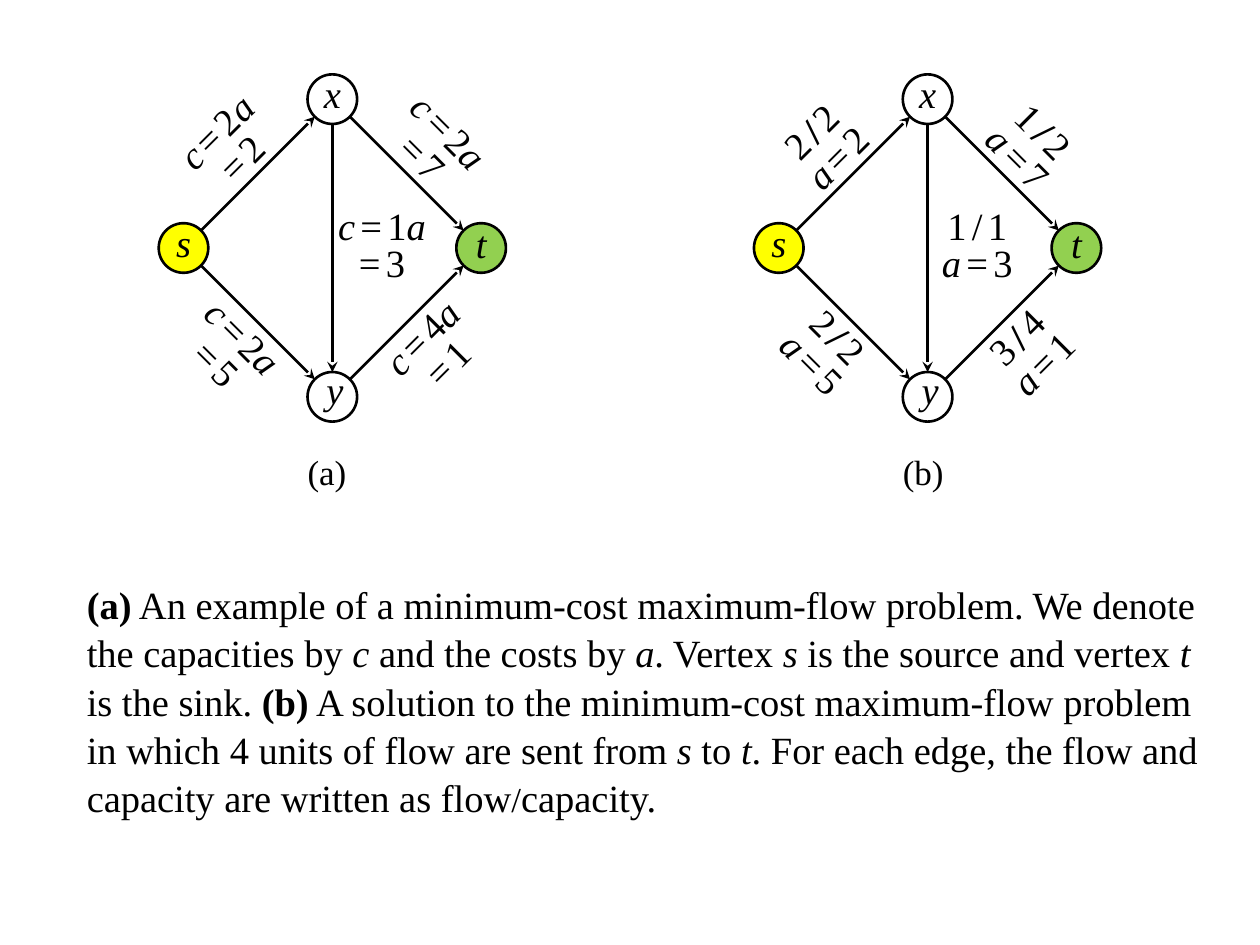
from math import hypot

from lxml import etree
from pptx import Presentation
from pptx.dml.color import RGBColor
from pptx.enum.shapes import MSO_CONNECTOR, MSO_SHAPE
from pptx.enum.text import MSO_ANCHOR, PP_ALIGN
from pptx.oxml.ns import qn
from pptx.util import Cm, Pt

ELLIPSE, STRAIGHT = MSO_SHAPE.OVAL, MSO_CONNECTOR.STRAIGHT
TOP, MIDDLE, BOTTOM = MSO_ANCHOR.TOP, MSO_ANCHOR.MIDDLE, MSO_ANCHOR.BOTTOM
CENTER = PP_ALIGN.CENTER
FONT, BLACK, SIZE = "Times New Roman", "000000", 22

VERTICES = {
    "s": dict(place=(-3, 0), fill="FFFF00"),
    "x": dict(place=(0, -3), fill="FFFFFF"),
    "y": dict(place=(0, 3), fill="FFFFFF", insets=(0.1, 0, 0, 0.05)),
    "t": dict(place=(3, 0), fill="92D050", anchor=MIDDLE, insets=(0, 0, 0, 0.2)),
}
EDGES = ["sx", "xy", "xt", "sy", "yt"]
LABEL_PLACES = {
    "sx": dict(place=(-2, -2), rotation=315, anchor=MIDDLE),
    "xy": dict(place=(1, 0), rotation=0, anchor=MIDDLE),
    "xt": dict(place=(2, -2), rotation=45, anchor=MIDDLE),
    "sy": dict(place=(-2, 2), rotation=45, anchor=BOTTOM),
    "yt": dict(place=(2, 2), rotation=315, anchor=BOTTOM),
}
GRAPHS = [
    dict(name="(a)", center=(6.7, 5), labels={
        "sx": ("c=2a", "=2"), "xy": ("c=1a", "=3"), "xt": ("c=2a", "=7"),
        "sy": ("c=2a", "=5"), "yt": ("c=4a", "=1")}),
    dict(name="(b)", center=(18.7, 5), labels={
        "sx": ("2/2", "a=2"), "xy": ("1/1", "a=3"), "xt": ("1/2", "a=7"),
        "sy": ("2/2", "a=5"), "yt": ("3/4", "a=1")}),
]
CAPTION = [
    ("(a)", dict(bold=True)),
    (" An example of a minimum-cost maximum-flow problem. We denote the capacities by ", {}),
    ("c", dict(italic=True)),
    (" and the costs by ", {}),
    ("a", dict(italic=True)),
    (". Vertex ", {}),
    ("s", dict(italic=True)),
    (" is the source and vertex ", {}),
    ("t", dict(italic=True)),
    (" is the sink. ", {}),
    ("(b)", dict(bold=True)),
    (" A solution to the minimum-cost maximum-flow problem in which 4 units of flow are sent from ", {}),
    ("s", dict(italic=True)),
    (" to ", {}),
    ("t", dict(italic=True)),
    (". For each edge, the flow and capacity are written as flow", {}),
    ("/", dict(size=20)),
    ("capacity.", {}),
]
DIAMETER, LABEL_SIDE = 1, 2


def color(value):
    return RGBColor.from_string(value)


def add_span(para, text, size=SIZE, bold=False, italic=False, tracking=0):
    span = para.add_run()
    span.text = text
    font = span.font
    font.name, font.size, font.bold, font.italic = FONT, Pt(size), bold, italic
    font.color.rgb = color(BLACK)
    if tracking:
        span._r.get_or_add_rPr().set("spc", str(tracking * 100))


def write(shape, lines, anchor=MIDDLE, insets=(0, 0, 0, 0), align=None,
          spacing=None, wrap=True):
    frame = shape.text_frame
    frame.word_wrap, frame.vertical_anchor = wrap, anchor
    frame.margin_left, frame.margin_top, frame.margin_right, frame.margin_bottom = map(Cm, insets)
    for number, spans in enumerate(lines):
        para = frame.add_paragraph() if number else frame.paragraphs[0]
        para.alignment, para.line_spacing = align, spacing
        for text, style in spans:
            add_span(para, text, **style)


def square(center, side):
    return [Cm(value) for value in (center[0] - side / 2, center[1] - side / 2, side, side)]


def shift(center, place):
    return center[0] + place[0], center[1] + place[1]


def add_vertex(page, center, name, place, fill, anchor=BOTTOM, insets=(0, 0, 0, 0)):
    vertex = page.shapes.add_shape(ELLIPSE, *square(shift(center, place), DIAMETER))
    vertex.shadow.inherit = False
    vertex.fill.solid()
    vertex.fill.fore_color.rgb = color(fill)
    vertex.line.color.rgb = color(BLACK)
    vertex.line.width = Pt(1.5)
    write(vertex, [[(name, dict(italic=True))]], anchor, insets, CENTER)


def add_edge(page, center, start, end):
    x1, y1 = shift(center, VERTICES[start]["place"])
    x2, y2 = shift(center, VERTICES[end]["place"])
    reach = DIAMETER / 2 / hypot(x2 - x1, y2 - y1)
    dx, dy = (x2 - x1) * reach, (y2 - y1) * reach
    edge = page.shapes.add_connector(
        STRAIGHT, Cm(x1 + dx), Cm(y1 + dy), Cm(x2 - dx), Cm(y2 - dy))
    edge.line.color.rgb = color(BLACK)
    edge.line.width = Pt(1.5)
    etree.SubElement(edge.line._get_or_add_ln(), qn("a:tailEnd"), type="stealth")
    etree.SubElement(edge._element.spPr, qn("a:effectLst"))


def label_spans(line, rotated):
    return [(mark, dict(italic=mark.isalpha(), bold=rotated and mark == "/",
                        tracking=0 if mark.isdigit() and following != "/" else 3))
            for mark, following in zip(line, line[1:] + " ")]


def add_label(page, center, lines, place, rotation, anchor):
    box = page.shapes.add_textbox(*square(shift(center, place), LABEL_SIDE))
    box.rotation = rotation
    write(box, [label_spans(line, bool(rotation)) for line in lines], anchor,
          (0, 0, 0, 0.1 if rotation else 0), CENTER, 0.8)


def add_graph(page, name, center, labels):
    for start, end in EDGES:
        add_edge(page, center, start, end)
    for vertex, look in VERTICES.items():
        add_vertex(page, center, vertex, **look)
    for edge, lines in labels.items():
        add_label(page, center, lines, **LABEL_PLACES[edge])
    box = page.shapes.add_textbox(*square(shift(center, (0, 4.5)), DIAMETER))
    write(box, [[(name, dict(size=20))]], wrap=False)


def main():
    deck = Presentation()
    deck.slide_width, deck.slide_height = Cm(25.4), Cm(19.05)
    page = deck.slides.add_slide(deck.slide_layouts[6])
    for graph in GRAPHS:
        add_graph(page, **graph)
    caption = page.shapes.add_textbox(Cm(1.7), Cm(11.53), Cm(22.5), Cm(5))
    write(caption, [CAPTION], TOP, (0.05, 0.13, 0.05, 0.13), spacing=1.05)
    deck.save("out.pptx")


if __name__ == "__main__":
    main()
